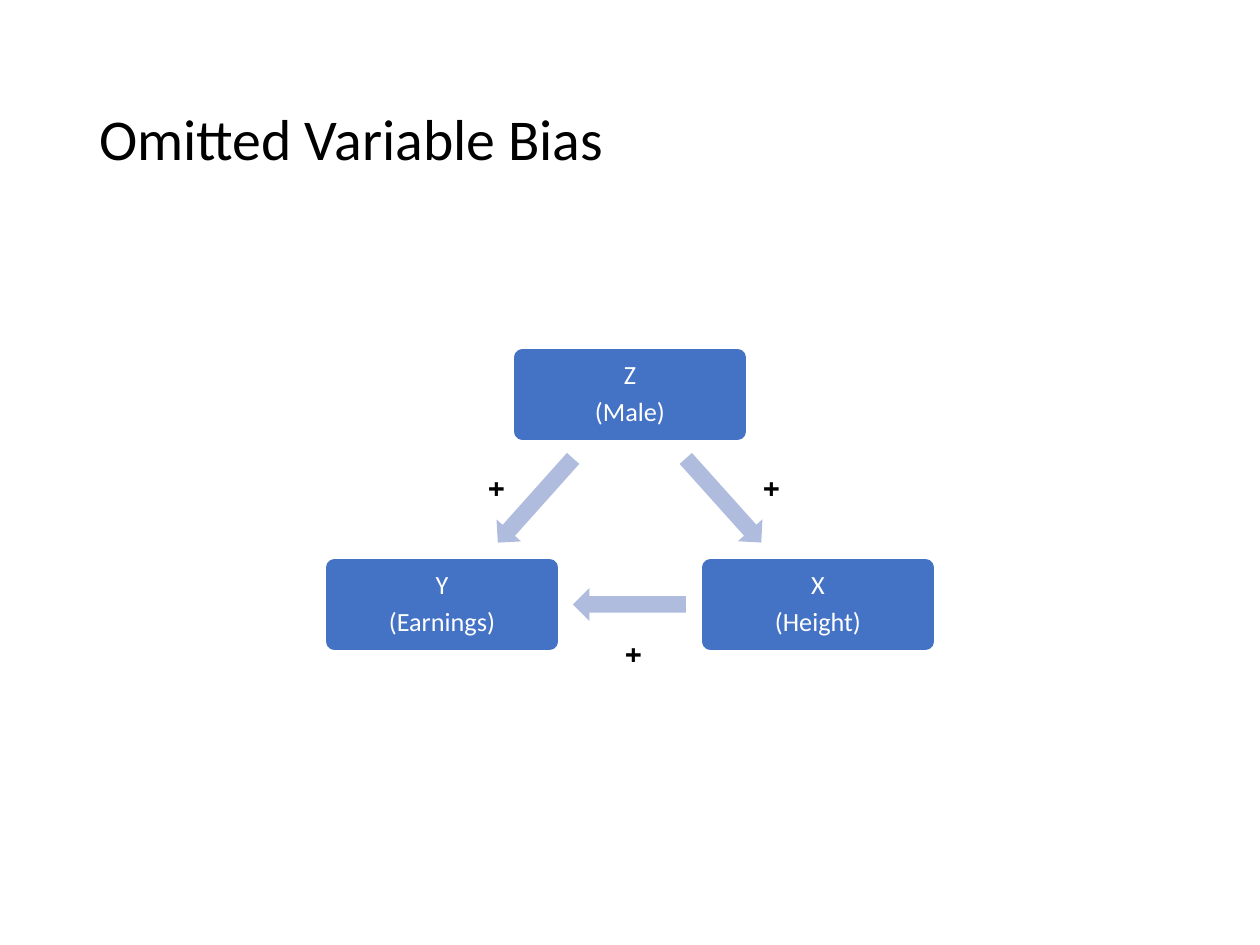
"""Build the omitted variable bias slide: three variables joined by signed arrows."""
from typing import Any, NamedTuple

from pptx import Presentation
from pptx import util as u
from pptx.dml import color
from pptx.enum import shapes, text

PX = 914400 / 126
COLORS = {"box": "4472C4", "arrow": "B0BCDE", "white": "FFFFFF", "black": "000000"}
BOX_SIZE = (234, 93)
ARROW_SIZE = (113, 33)
SIGN_SIZE = (49, 60)
INSETS = ("margin_left", "margin_top", "margin_right", "margin_bottom")


class Variable(NamedTuple):
    left: int
    top: int
    letter: str
    meaning: str


class Arrow(NamedTuple):
    left: int
    top: int
    kind: shapes.MSO_SHAPE
    rotation: float


class Sign(NamedTuple):
    left: int
    top: int


VARIABLES = [
    Variable(513, 348, "Z", "(Male)"),
    Variable(325, 558, "Y", "(Earnings)"),
    Variable(701, 558, "X", "(Height)"),
]
ARROWS = [
    Arrow(479, 484, shapes.MSO_SHAPE.LEFT_ARROW, 311.8),
    Arrow(573, 588, shapes.MSO_SHAPE.LEFT_ARROW, 0),
    Arrow(667, 484, shapes.MSO_SHAPE.RIGHT_ARROW, 48.1),
]
SIGNS = [Sign(475, 455), Sign(750, 455), Sign(612, 621)]


def px(*lengths: int) -> list[u.Emu]:
    return [u.Emu(round(length * PX)) for length in lengths]


def apply(target: Any, values: dict[str, Any]) -> None:
    for name, value in values.items():
        setattr(target, name, value)


def rgb(name: str) -> color.RGBColor:
    return color.RGBColor.from_string(COLORS[name])


def write(box: Any, lines: list[str], font: str, size: float, ink: str,
          frame: dict[str, Any], layout: dict[str, Any]) -> None:
    apply(box.text_frame, frame)
    box.text_frame.text = "\n".join(lines)
    for para in box.text_frame.paragraphs:
        apply(para, layout)
        for span in para.runs:
            apply(span.font, {"name": font, "size": u.Pt(size)})
            span.font.color.rgb = rgb(ink)


def add_filled(page: Any, kind: shapes.MSO_SHAPE, left: int, top: int,
               size: tuple[int, int], fill: str) -> Any:
    shape = page.shapes.add_shape(kind, *px(left, top, *size))
    shape.shadow.inherit = False
    shape.fill.solid()
    shape.fill.fore_color.rgb = rgb(fill)
    shape.line.fill.background()
    return shape


def add_variable(page: Any, item: Variable) -> None:
    box = add_filled(page, shapes.MSO_SHAPE.ROUNDED_RECTANGLE, item.left, item.top, BOX_SIZE, "box")
    box.adjustments[0] = 0.1
    box.line.color.rgb = rgb("white")
    box.line.width = u.Pt(1)
    frame = dict.fromkeys(INSETS, px(10)[0])
    frame |= {"word_wrap": True, "vertical_anchor": text.MSO_ANCHOR.MIDDLE}
    layout = {"alignment": text.PP_ALIGN.CENTER, "line_spacing": 0.9, "space_after": u.Pt(5)}
    write(box, [item.letter, item.meaning], "Calibri", 15, "white", frame, layout)


def add_arrow(page: Any, item: Arrow) -> None:
    arrow = add_filled(page, item.kind, item.left, item.top, ARROW_SIZE, "arrow")
    arrow.rotation = item.rotation


def add_sign(page: Any, item: Sign) -> None:
    box = page.shapes.add_textbox(*px(item.left, item.top, *SIGN_SIZE))
    frame = {"word_wrap": False, "auto_size": text.MSO_AUTO_SIZE.SHAPE_TO_FIT_TEXT}
    write(box, ["+"], "Cabin", 22.5, "black", frame, {})


def add_title(page: Any) -> None:
    box = page.shapes.add_textbox(*px(87, 50, 1086, 183))
    frame = {"word_wrap": True, "vertical_anchor": text.MSO_ANCHOR.MIDDLE}
    write(box, ["Omitted Variable Bias"], "Calibri", 33, "black", frame, {"line_spacing": 0.9})


def main() -> None:
    deck = Presentation()
    apply(deck, {"slide_width": u.Inches(10), "slide_height": u.Inches(7.5)})
    page = deck.slides.add_slide(deck.slide_layouts[6])
    add_title(page)
    for variable, arrow in zip(VARIABLES, ARROWS):
        add_variable(page, variable)
        add_arrow(page, arrow)
    for sign in SIGNS:
        add_sign(page, sign)
    deck.save("out.pptx")


if __name__ == "__main__":
    main()
